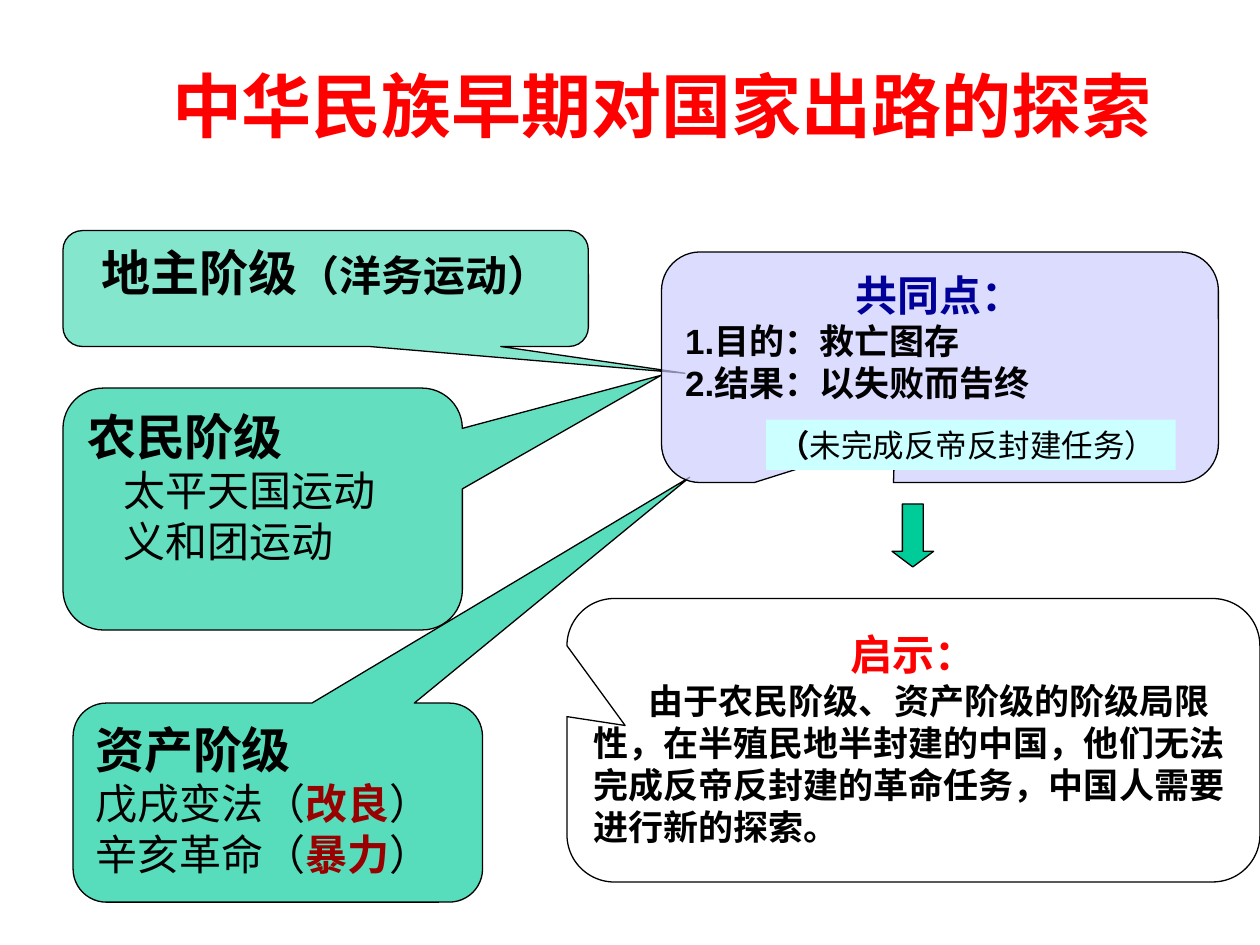
"""Build the slide on the early search of the Chinese nation for a way forward."""
from dataclasses import dataclass
from typing import Optional

from lxml.etree import SubElement
from pptx import Presentation
from pptx.dml.color import RGBColor
from pptx.enum.shapes import MSO_SHAPE
from pptx.enum.text import MSO_ANCHOR, PP_ALIGN
from pptx.oxml.ns import qn
from pptx.util import Inches, Pt


@dataclass(frozen=True)
class Theme:
    black: str = "000000"
    red: str = "FF0000"
    dark_red: str = "990000"
    navy: str = "000099"
    green: str = "00CC99"
    lavender: str = "CCCCFF"
    cyan: str = "CCFFFF"
    white: str = "FFFFFF"
    title: int = 40
    heading: int = 28
    body: int = 24
    detail: int = 20
    note: int = 18
    outline: float = 0.75
    latin: str = "Arial"
    serif: str = "Times New Roman"
    chinese: str = "Noto Sans CJK SC"


THEME = Theme()


@dataclass(frozen=True)
class Run:
    text: str
    size: int
    bold: bool = True
    color: str = THEME.black
    font: str = THEME.latin


@dataclass(frozen=True)
class Line:
    runs: tuple[Run, ...]
    centered: bool = False
    margin: float = 0
    first_indent: float = 0
    spacing: Optional[float] = None


@dataclass(frozen=True)
class Block:
    kind: MSO_SHAPE
    box: tuple[float, float, float, float]
    fill: str
    adjustments: tuple[float, ...] = ()
    opacity: int = 100
    outlined: bool = True
    lines: tuple[Line, ...] = ()


def write_lines(frame, lines: tuple[Line, ...]) -> None:
    """Fill a text frame with paragraphs, run by run."""
    frame.word_wrap = True
    for index, line in enumerate(lines):
        paragraph = frame.paragraphs[0] if index == 0 else frame.add_paragraph()
        paragraph.alignment = PP_ALIGN.CENTER if line.centered else PP_ALIGN.LEFT
        if line.spacing:
            paragraph.line_spacing = line.spacing
        properties = paragraph._p.get_or_add_pPr()
        properties.set("marL", str(Inches(line.margin)))
        properties.set("indent", str(Inches(line.first_indent)))
        for part in line.runs:
            run = paragraph.add_run()
            run.text = part.text
            run.font.size = Pt(part.size)
            run.font.bold = part.bold
            run.font.color.rgb = RGBColor.from_string(part.color)
            run.font.name = part.font
            SubElement(run.font._element, qn("a:ea")).set("typeface", THEME.chinese)


def draw_block(slide, block: Block) -> None:
    """Draw one preset shape with its fill, outline and text."""
    shape = slide.shapes.add_shape(block.kind, *map(Inches, block.box))
    shape.shadow.inherit = False
    for index, value in enumerate(block.adjustments):
        shape.adjustments[index] = value
    shape.fill.solid()
    shape.fill.fore_color.rgb = RGBColor.from_string(block.fill)
    if block.opacity < 100:
        color = shape._element.spPr.find(qn("a:solidFill"))[0]
        SubElement(color, qn("a:alpha")).set("val", str(block.opacity * 1000))
    if block.outlined:
        shape.line.color.rgb = RGBColor.from_string(THEME.black)
        shape.line.width = Pt(THEME.outline)
    else:
        shape.line.fill.background()
    if block.lines:
        shape.text_frame.vertical_anchor = MSO_ANCHOR.TOP
        write_lines(shape.text_frame, block.lines)


def draw_title(slide, line: Line) -> None:
    """Place the slide title."""
    title = slide.shapes.add_textbox(Inches(0.92), Inches(0.33), Inches(8.52), Inches(1))
    title.text_frame.vertical_anchor = MSO_ANCHOR.MIDDLE
    write_lines(title.text_frame, (line,))


def plain(text: str) -> Run:
    """Return a regular body run."""
    return Run(text, THEME.body, bold=False)


def stressed(text: str) -> Run:
    """Return a dark red body run."""
    return Run(text, THEME.body, color=THEME.dark_red)


CALLOUT = MSO_SHAPE.ROUNDED_RECTANGULAR_CALLOUT
LANDLORDS = Block(
    CALLOUT, (0.5, 1.83, 4.17, 0.92), THEME.green, (0.684, 0.731, 0.167), 48,
    lines=(Line((Run("地主阶级", THEME.heading), Run("（洋务运动）", THEME.body)), centered=True),),
)
PEASANTS = Block(
    CALLOUT, (0.5, 3.08, 3.17, 1.92), THEME.green, (0.998, -0.553, 0.167), 61,
    lines=(
        Line((Run("农民阶级", THEME.heading, font=THEME.chinese),)),
        *(
            Line((Run(movement, THEME.body, bold=False, font=THEME.chinese),), margin=0.29)
            for movement in ("太平天国运动", "义和团运动")
        ),
    ),
)
BOURGEOISIE = Block(
    CALLOUT, (0.58, 5.58, 3.25, 1.58), THEME.green, (1.006, -1.635, 0.167), 66,
    lines=(
        Line((Run("资产阶级", THEME.heading),)),
        Line((plain("戊戌变法（"), stressed("改良"), plain("）辛亥革命（"), stressed("暴力"), plain("）"))),
    ),
)
LESSON = Block(
    CALLOUT, (4.5, 4.75, 5.5, 2.25), THEME.white, (-0.416, -0.052, 0.167),
    lines=(
        Line((Run("启示：", THEME.body, color=THEME.red),), centered=True, spacing=1.2),
        Line(
            (Run("由于农民阶级、资产阶级的阶级局限性，在半殖民地半封建的中国，"
                 "他们无法完成反帝反封建的革命任务，中国人需要进行新的探索。", THEME.detail),),
            first_indent=0.44,
        ),
    ),
)
COMMON_GROUND = Block(
    CALLOUT, (5.25, 2, 4.42, 1.83), THEME.lavender, (-0.081, 0.308, 0.167), 68,
    lines=(
        Line((Run("共同点：", THEME.body, color=THEME.navy),), centered=True),
        *(Line((Run(point, THEME.detail),)) for point in ("1.目的：救亡图存", "2.结果：以失败而告终")),
    ),
)
ARROW = Block(MSO_SHAPE.DOWN_ARROW, (7.08, 4, 0.33, 0.5), THEME.green, (0.5, 0.375))
UNFINISHED_TASK = Block(
    MSO_SHAPE.RECTANGLE, (6.08, 3.33, 3.25, 0.4), THEME.cyan, outlined=False,
    lines=(Line((
        Run("（", THEME.note),
        Run("未完成反帝反封建任务）", THEME.note, bold=False, font=THEME.chinese),
    )),),
)
HEADLINE = Line(
    (Run("中华民族早期对国家出路的探索", THEME.title, color=THEME.red, font=THEME.serif),),
    centered=True, margin=0.14,
)


def main() -> None:
    """Build and save the slide."""
    presentation = Presentation()
    presentation.slide_width = Inches(10)
    presentation.slide_height = Inches(7.5)
    slide = presentation.slides.add_slide(presentation.slide_layouts[6])
    draw_title(slide, HEADLINE)
    for block in (LANDLORDS, PEASANTS, BOURGEOISIE, LESSON, COMMON_GROUND, ARROW, UNFINISHED_TASK):
        draw_block(slide, block)
    presentation.save("out.pptx")


if __name__ == "__main__":
    main()
